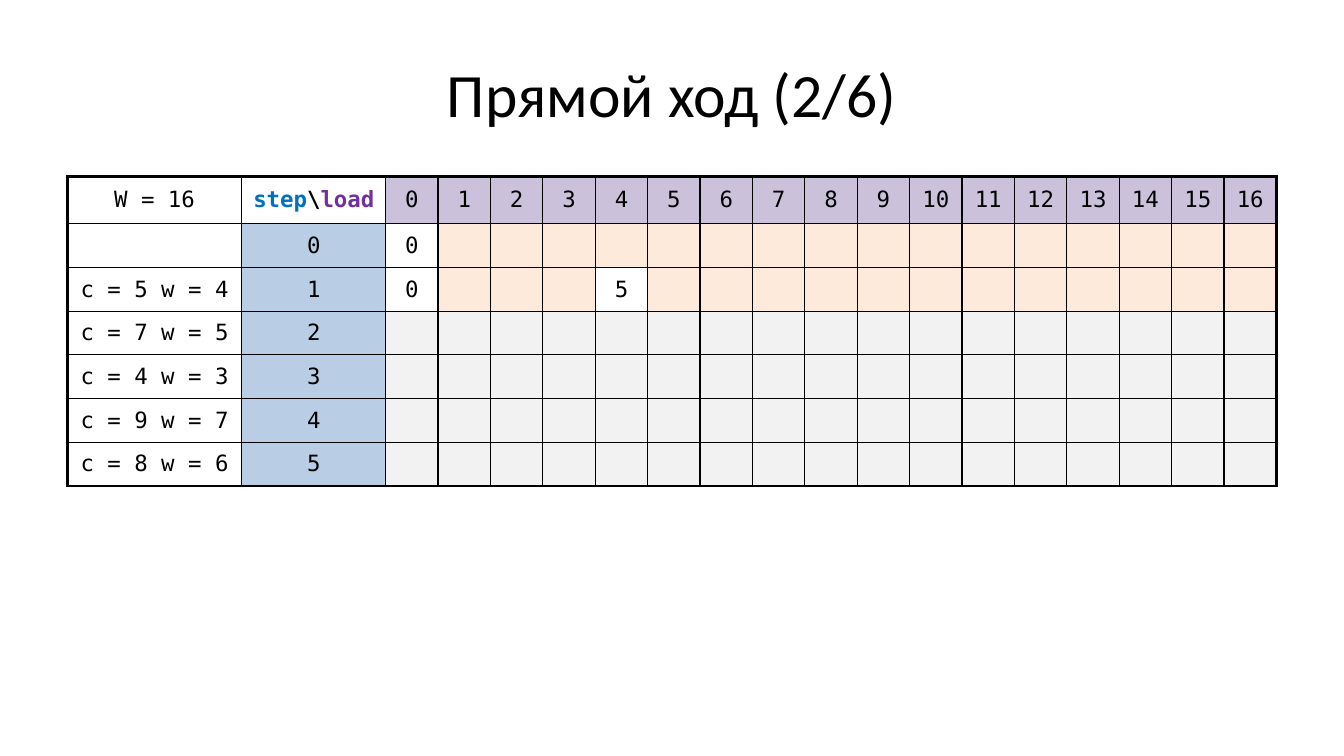
from dataclasses import dataclass

from lxml import etree
from pptx import Presentation
from pptx import util as u
from pptx.dml.color import RGBColor
from pptx.enum import text
from pptx.oxml import ns


@dataclass(frozen=True)
class Theme:
    ink: str = "000000"
    step: str = "0070C0"
    load: str = "7030A0"
    load_fill: str = "CCC1DA"
    step_fill: str = "B9CDE5"
    done_fill: str = "FDEADA"
    pending_fill: str = "F2F2F2"
    title_font: str = "Calibri"
    cell_font: str = "DejaVu Sans Mono"
    title_size: float = 44
    cell_size: float = 16
    thin: float = 1
    thick: float = 2.25


class SlideBuilder:
    def __init__(self, deck, theme):
        self.deck = deck
        self.theme = theme
        self.page = deck.slides.add_slide(deck.slide_layouts[5])

    def across(self, percent):
        return round(self.deck.slide_width * percent / 100)

    def down(self, percent):
        return round(self.deck.slide_height * percent / 100)

    def style(self, span, font, size, color, bold=False):
        span.font.name = font
        span.font.size = u.Pt(size)
        span.font.bold = bold
        span.font.color.rgb = RGBColor.from_string(color)

    def title(self, wording, left, top, width, height):
        box = self.page.shapes.title
        box.left, box.top = self.across(left), self.down(top)
        box.width, box.height = self.across(width), self.down(height)
        box.text_frame.text = wording
        box.text_frame.vertical_anchor = text.MSO_ANCHOR.MIDDLE
        para = box.text_frame.paragraphs[0]
        para.alignment = text.PP_ALIGN.CENTER
        self.style(para.runs[0], self.theme.title_font, self.theme.title_size, self.theme.ink)

    def table(self, left, top, widths, heights):
        frame = self.page.shapes.add_table(
            len(heights), len(widths), self.across(left), self.down(top),
            self.across(sum(widths)), self.down(sum(heights)))
        grid = frame.table
        grid.first_row = grid.horz_banding = False
        for column, width in zip(grid.columns, widths):
            column.width = self.across(width)
        for row, height in zip(grid.rows, heights):
            row.height = self.down(height)
        return grid

    def borders(self, cell, outer):
        properties = cell._tc.get_or_add_tcPr()
        for side in "LRTB":
            weight = self.theme.thick if side in outer else self.theme.thin
            line = etree.SubElement(properties, ns.qn(f"a:ln{side}"), w=str(u.Pt(weight)))
            fill = etree.SubElement(line, ns.qn("a:solidFill"))
            etree.SubElement(fill, ns.qn("a:srgbClr"), val=self.theme.ink)

    def cell(self, cell, spans, fill, outer, bold=False):
        self.borders(cell, outer)
        if fill:
            cell.fill.solid()
            cell.fill.fore_color.rgb = RGBColor.from_string(fill)
        else:
            cell.fill.background()
        cell.vertical_anchor = text.MSO_ANCHOR.MIDDLE
        para = cell.text_frame.paragraphs[0]
        para.alignment = text.PP_ALIGN.CENTER
        for wording, color in spans:
            span = para.add_run()
            span.text = wording
            self.style(span, self.theme.cell_font, self.theme.cell_size, color, bold)


CAPACITY = 16
ITEMS = [(5, 4), (7, 5), (4, 3), (9, 7), (8, 6)]
REACHED = {(0, 0): 0, (1, 0): 0, (1, 4): 5}
STEPS_DONE = 1


def draw_load_table(slide):
    theme = slide.theme
    widths = [13, 10.7] + [3.9] * (CAPACITY + 1)
    heights = [6.27] + [5.78] * (len(ITEMS) + 1)
    grid = slide.table(5, 23.33, widths, heights)
    labels = [f"W = {CAPACITY}", ""] + [f"c = {cost} w = {weight}" for cost, weight in ITEMS]
    corner = [("step", theme.step), ("\\", theme.ink), ("load", theme.load)]

    for row in range(len(heights)):
        for column in range(len(widths)):
            step, load = row - 1, column - 2
            spans, fill = [], None
            is_corner = row == 0 and column == 1
            if column == 0:
                spans = [(labels[row], theme.ink)] if labels[row] else []
            elif is_corner:
                spans = corner
            elif row == 0:
                spans, fill = [(str(load), theme.ink)], theme.load_fill
            elif column == 1:
                spans, fill = [(str(step), theme.ink)], theme.step_fill
            elif (step, load) in REACHED:
                spans = [(str(REACHED[step, load]), theme.ink)]
            else:
                fill = theme.done_fill if step <= STEPS_DONE else theme.pending_fill
            edges = {"L": column == 0, "R": column == len(widths) - 1,
                     "T": row == 0, "B": row == len(heights) - 1}
            outer = [side for side, at_edge in edges.items() if at_edge]
            slide.cell(grid.cell(row, column), spans, fill, outer, bold=is_corner)


def main():
    deck = Presentation()
    deck.slide_width, deck.slide_height = u.Inches(13.33), u.Inches(7.5)
    slide = SlideBuilder(deck, Theme())
    slide.title("Прямой ход (2/6)", 5, 4, 90, 16.67)
    draw_load_table(slide)
    deck.save("out.pptx")


if __name__ == "__main__":
    main()
